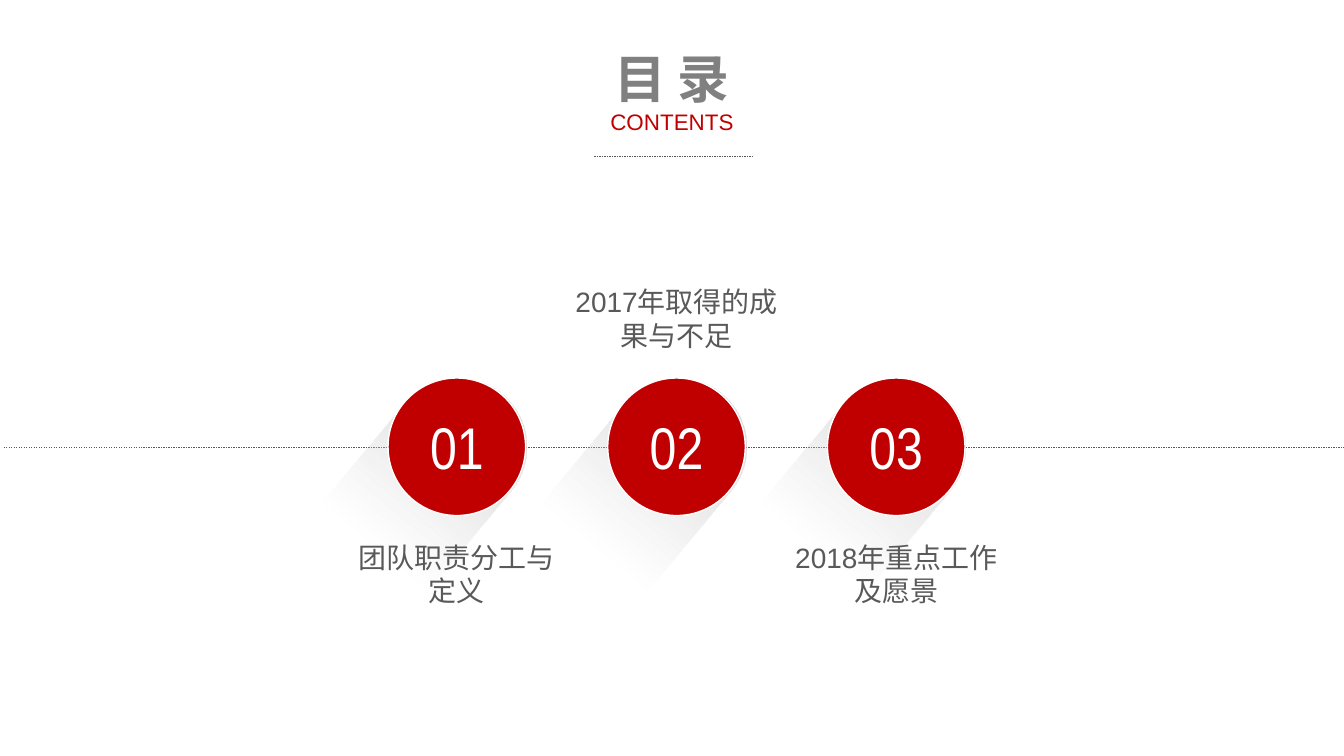
from lxml import etree
from pptx import Presentation
from pptx import util as u
from pptx.dml.color import RGBColor
from pptx.enum import dml, shapes, text
from pptx.oxml import ns

RED, GREY, DARK, WHITE = "C00000", "808080", "595959", "FFFFFF"


def rgb(value):
    return RGBColor.from_string(value)


class ContentsSlide:
    latin, narrow, chinese = "Arial", "Arial Narrow", "Noto Sans CJK SC"

    def __init__(self, deck):
        self.slide = deck.slides.add_slide(deck.slide_layouts[6])
        self.shapes = self.slide.shapes

    def dashed_line(self, left, right, y):
        rule = self.shapes.add_connector(
            shapes.MSO_CONNECTOR.STRAIGHT,
            u.Inches(left), u.Inches(y), u.Inches(right), u.Inches(y))
        rule.line.color.rgb = rgb(DARK)
        rule.line.width = u.Pt(0.5)
        rule.line.dash_style = dml.MSO_LINE.DASH
        etree.SubElement(rule._element.spPr, ns.qn("a:effectLst"))

    def shape(self, kind, left, top, width, height):
        figure = self.shapes.add_shape(
            kind, u.Inches(left), u.Inches(top), u.Inches(width), u.Inches(height))
        figure.shadow.inherit = False
        return figure

    def long_shadow(self, left, top, width, height):
        shadow = self.shape(shapes.MSO_SHAPE.ROUNDED_RECTANGLE, left, top, width, height)
        shadow.adjustments[0] = 0.5
        shadow.rotation = 39.7
        shadow.line.fill.background()
        shadow.fill.gradient()
        shadow.fill.gradient_angle = 270
        near, far = shadow.fill.gradient_stops
        near.color.rgb, near.position = rgb("BABABA"), 0
        far.color.rgb, far.position = rgb("D9D9D9"), 0.6
        far_color = shadow._element.spPr.findall(".//" + ns.qn("a:srgbClr"))[-1]
        etree.SubElement(far_color, ns.qn("a:alpha"), val="0")

    def circle(self, left, top, size):
        disc = self.shape(shapes.MSO_SHAPE.OVAL, left, top, size, size)
        disc.fill.solid()
        disc.fill.fore_color.rgb = rgb(RED)
        disc.line.color.rgb = rgb(WHITE)
        disc.line.width = u.Pt(2)

    def text(self, left, top, width, height, lines, wrap=False, insets=(0.2, 0.1)):
        box = self.shapes.add_textbox(
            u.Inches(left), u.Inches(top), u.Inches(width), u.Inches(height))
        frame = box.text_frame
        frame.word_wrap = wrap
        frame.auto_size = text.MSO_AUTO_SIZE.SHAPE_TO_FIT_TEXT
        frame.margin_left = frame.margin_right = u.Inches(insets[0])
        frame.margin_top = frame.margin_bottom = u.Inches(insets[1])
        for index, (words, size, font, color, bold) in enumerate(lines):
            paragraph = frame.add_paragraph() if index else frame.paragraphs[0]
            paragraph.text = words
            paragraph.alignment = text.PP_ALIGN.CENTER
            paragraph.font.size = u.Pt(size)
            paragraph.font.name = font
            paragraph.font.bold = bold
            paragraph.font.color.rgb = rgb(color)
            defaults = paragraph._p.pPr.find(ns.qn("a:defRPr"))
            etree.SubElement(defaults, ns.qn("a:ea"), typeface=self.chinese)


def main():
    deck = Presentation()
    deck.slide_width, deck.slide_height = u.Inches(26.67), u.Inches(15)
    contents = ContentsSlide(deck)

    contents.dashed_line(0.07, 26.67, 8.88)
    contents.text(11.9, 0.82, 2.87, 1.99, [
        ("目 录", 74, contents.chinese, GREY, True),
        ("CONTENTS", 32, contents.latin, RED, False)])
    contents.dashed_line(11.79, 14.94, 3.09)

    below, above = 10.72, 5.65
    chapters = [("团队职责分工与定义", below),
                ("2017年取得的成果与不足", above),
                ("2018年重点工作及愿景", below)]
    size, first, pitch = 2.73, 7.7, 4.36
    lefts = [first + pitch * index for index in range(len(chapters))]

    for left in lefts:
        contents.long_shadow(left - 1.07, 7.11, size, 6.13)
        contents.circle(left, 7.5, size)

    number_width, label_width = 1.65, 4.36
    for number, (left, (title, top)) in enumerate(zip(lefts, chapters), 1):
        center = left + size / 2
        contents.text(center - number_width / 2, 8.05, number_width, 1.64,
                      [(f"{number:02d}", 84, contents.narrow, WHITE, False)])
        contents.text(center - label_width / 2, top, label_width, 1.35,
                      [(title, 40, contents.latin, DARK, False)],
                      wrap=True, insets=(0, 0))

    deck.save("out.pptx")


if __name__ == "__main__":
    main()
